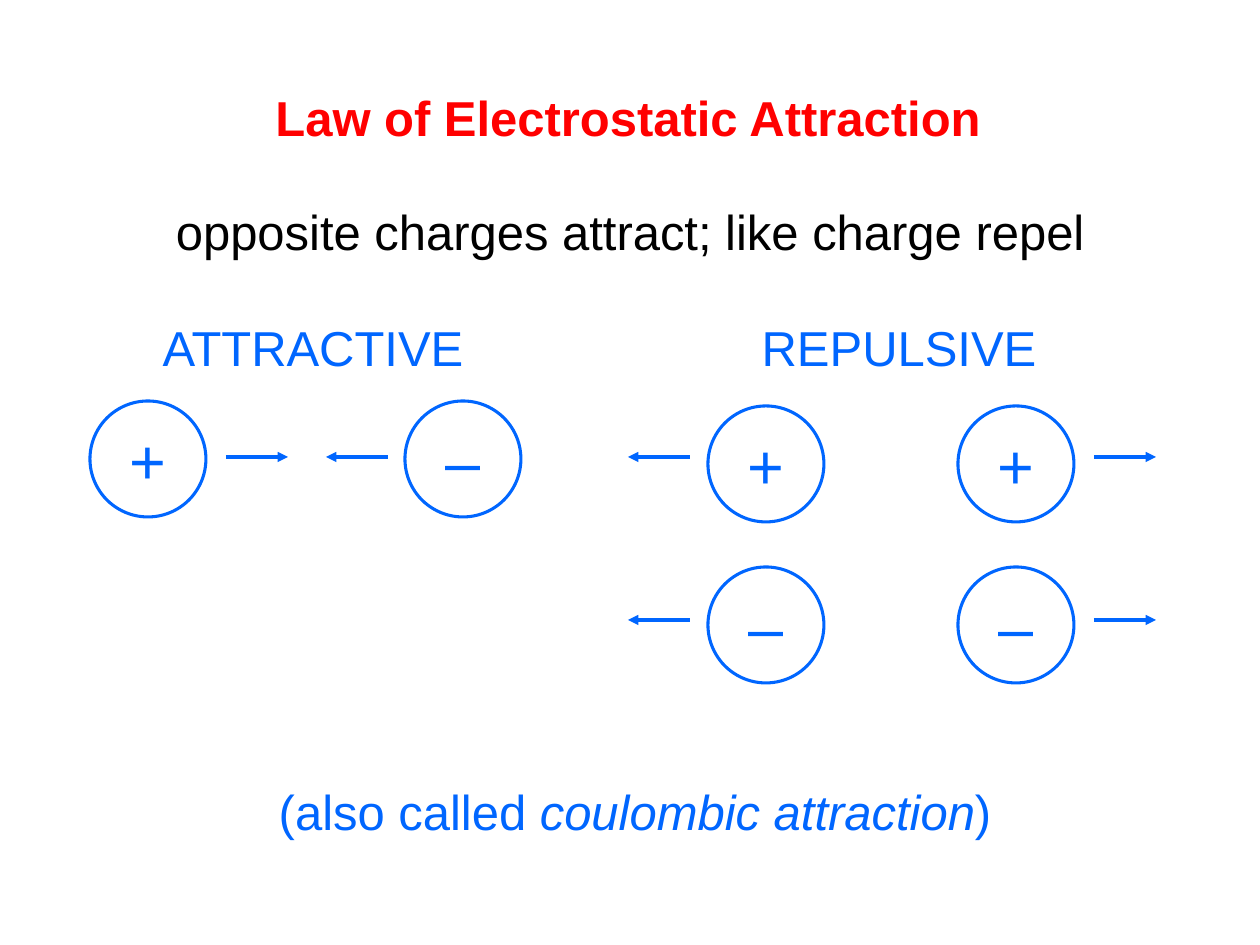
from pptx import Presentation
from pptx.dml.color import RGBColor
from pptx.enum.shapes import MSO_CONNECTOR as CONN, MSO_SHAPE as SHAPE
from pptx.enum.text import MSO_ANCHOR as ANCHOR, PP_ALIGN as ALIGN
from pptx.oxml.ns import qn
from pptx.util import Emu, Pt
from lxml.etree import SubElement

# Content: text runs are (text, italic), lengths are px
TITLE = ("Law of Electrostatic Attraction", 628, 81, 748)
LINES = [  # runs, centre x, top, width, colour
    ([("opposite charges attract; like charge repel", False)], 630, 195, 938, "text"),
    ([("ATTRACTIVE", False)], 313, 311, 340, "accent"),
    ([("REPULSIVE", False)], 899, 311, 320, "accent"),
    ([("(also called ", False), ("coulombic attraction", True), (")", False)],
     635, 775, 740, "accent"),
]
PAIRS = [  # circle centre y, arrow y, then (sign, centre x, arrow tail x, direction)
    (459, 457, [("+", 148, 226, 1), ("–", 463, 388, -1)]),
    (464, 457, [("+", 766, 690, -1), ("+", 1016, 1094, 1)]),
    (625, 620, [("–", 766, 690, -1), ("–", 1016, 1094, 1)]),
]
LINE_H, CIRCLE, ARROW = 72, 116, 62
THEME = {
    "font": "Arial", "size": 28, "sign": 36, "stroke": 1.75,
    "title": RGBColor(255, 0, 0), "text": RGBColor(0, 0, 0),
    "accent": RGBColor(0, 102, 255),
}


def px(n):
    return Emu(round(n * 914400 / 126))


def box(cx, top, w, h):
    return px(cx - w / 2), px(top), px(w), px(h)


def write(sp, runs, color, size, bold=False):
    tf = sp.text_frame
    tf.margin_left = tf.margin_right = tf.margin_top = tf.margin_bottom = 0
    tf.word_wrap = True
    tf.vertical_anchor = ANCHOR.MIDDLE
    p = tf.paragraphs[0]
    p.alignment = ALIGN.CENTER
    for text, italic in runs:
        r = p.add_run()
        r.text = text
        f = r.font
        f.name, f.size, f.bold, f.italic = THEME["font"], Pt(size), bold, italic
        f.color.rgb = THEME[color]


def stroke(line):
    line.color.rgb = THEME["accent"]
    line.width = Pt(THEME["stroke"])


def add_charge(slide, sign, cx, cy):
    s = slide.shapes.add_shape(SHAPE.OVAL, *box(cx, cy - CIRCLE / 2, CIRCLE, CIRCLE))
    s.shadow.inherit = False
    s.fill.background()
    stroke(s.line)
    write(s, [(sign, False)], "accent", THEME["sign"])


def add_arrow(slide, x, y, direction):
    c = slide.shapes.add_connector(
        CONN.STRAIGHT, px(x), px(y), px(x + direction * ARROW), px(y))
    stroke(c.line)
    SubElement(c.line._get_or_add_ln(), qn("a:tailEnd"), type="triangle")
    SubElement(c._element.spPr, qn("a:effectLst"))


prs = Presentation()
prs.slide_width, prs.slide_height = px(1260), px(945)
slide = prs.slides.add_slide(prs.slide_layouts[5])

# Title
text, cx, top, w = TITLE
title = slide.shapes.title
title.left, title.top, title.width, title.height = box(cx, top, w, LINE_H)
write(title, [(text, False)], "title", THEME["size"], bold=True)

# Statement, column headings and closing remark
for runs, cx, top, w, color in LINES:
    write(slide.shapes.add_textbox(*box(cx, top, w, LINE_H)), runs, color, THEME["size"])

# Charges with the direction of force
for cy, arrow_y, charges in PAIRS:
    for sign, cx, tail_x, direction in charges:
        add_charge(slide, sign, cx, cy)
        add_arrow(slide, tail_x, arrow_y, direction)

prs.save("out.pptx")
